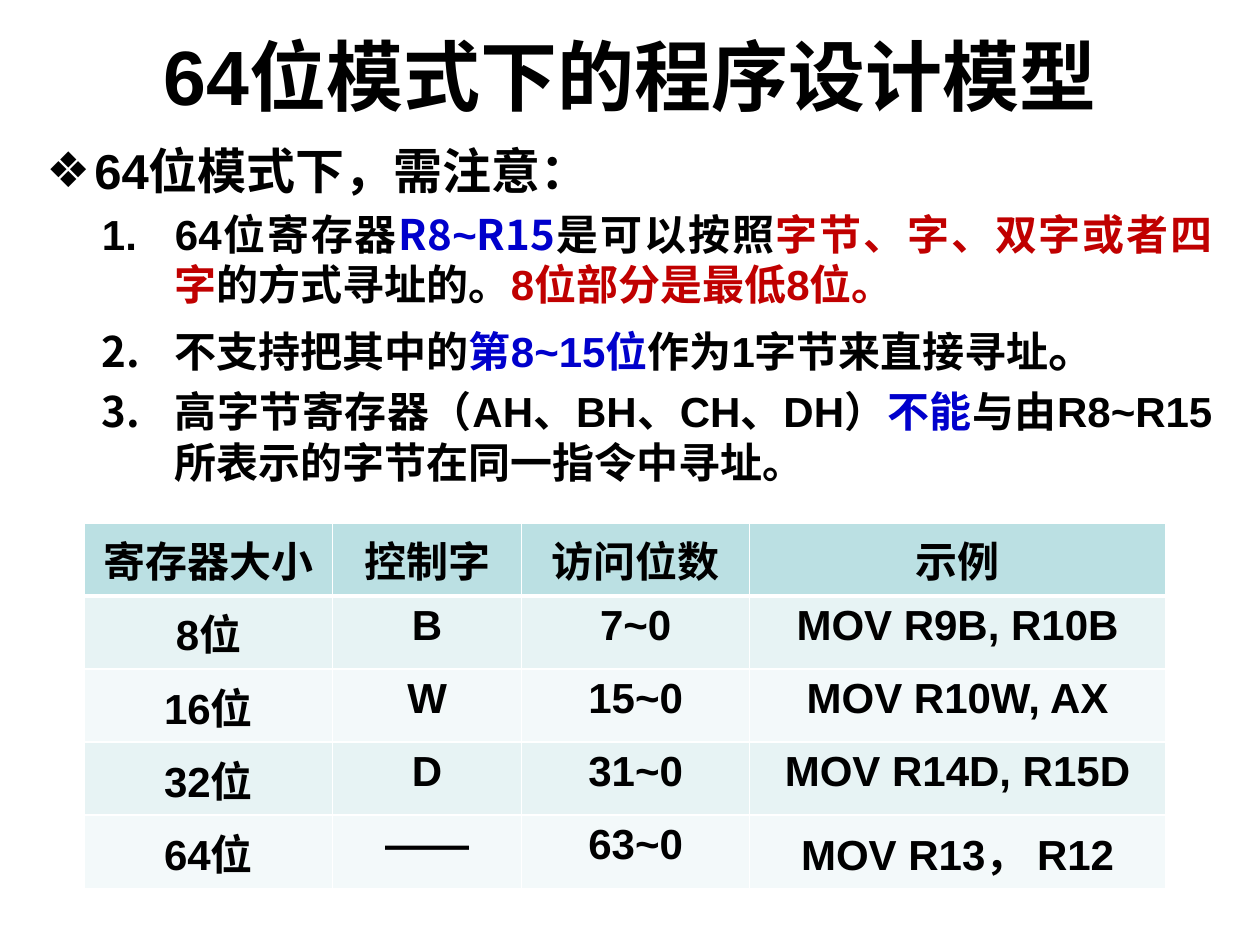
import pptx
import pptx.util
import pptx.dml.color
import pptx.enum.text
import pptx.oxml
import pptx.oxml.ns

Inches = pptx.util.Inches
Pt = pptx.util.Pt
Color = pptx.dml.color.RGBColor
Align = pptx.enum.text.PP_ALIGN
Anchor = pptx.enum.text.MSO_ANCHOR

BLACK = Color(0x00, 0x00, 0x00)
BLUE = Color(0x00, 0x00, 0xCC)
RED = Color(0xC0, 0x00, 0x00)
HEAD = Color(0xBB, 0xE0, 0xE3)
BANDS = (Color(0xE7, 0xF3, 0xF4), Color(0xF3, 0xF9, 0xFA))
LATIN = "Arial"
HAN = "Noto Sans CJK SC"

RULES = [
    [("64位寄存器", BLACK), ("R8", BLUE, HAN), ("~", BLUE), ("R15", BLUE, HAN),
     ("是可以按照", BLACK), ("字节、字、双字或者四字", RED),
     ("的方式寻址的。", BLACK), ("8位部分是最低8位。", RED)],
    [("不支持把其中的", BLACK), ("第8~15位", BLUE), ("作为1字节来直接寻址", BLACK),
     ("。", BLACK, LATIN, 28)],
    [("高字节寄存器（AH、BH、CH、DH）", BLACK), ("不能", BLUE),
     ("与由R8~R15所表示的字节在同一指令中寻址。", BLACK)],
]
ROWS = [
    ("寄存器大小", "控制字", "访问位数", "示例"),
    ("8位", "B", "7~0", "MOV R9B, R10B"),
    ("16位", "W", "15~0", "MOV R10W, AX"),
    ("32位", "D", "31~0", "MOV R14D, R15D"),
    ("64位", "——", "63~0", "MOV R13， R12"),
]
WIDTHS = (1.97, 1.5, 1.81, 3.3)
HEIGHT = 0.58


def add_xml(parent, tag, **attrs):
    node = pptx.oxml.parse_xml(f"<a:{tag} {pptx.oxml.ns.nsdecls('a')}/>")
    for key, value in attrs.items():
        node.set(key, str(value))
    parent.append(node)
    return node


def set_font(font, color=BLACK, name=LATIN, size=24):
    font.size = Pt(size)
    font.bold = True
    font.name = name
    font.color.rgb = color


def add_box(slide, left, top, width, height):
    box = slide.shapes.add_textbox(
        Inches(left), Inches(top), Inches(width), Inches(height))
    box.text_frame.word_wrap = True
    return box.text_frame


def add_title(slide, text):
    frame = add_box(slide, 0.2, 0.21, 9.61, 0.77)
    frame.vertical_anchor = Anchor.MIDDLE
    para = frame.paragraphs[0]
    para.text = text
    para.alignment = Align.CENTER
    set_font(para.font, size=44)


def set_list(para, left, hang, face, tag, **mark):
    para.alignment = Align.JUSTIFY
    props = para._p.get_or_add_pPr()
    props.set("marL", str(Inches(left)))
    props.set("indent", str(-Inches(hang)))
    add_xml(props, "buFont", typeface=face)
    add_xml(props, tag, **mark)


def add_rules(slide):
    frame = add_box(slide, 0.27, 1.07, 9.45, 2.83)
    lead = frame.paragraphs[0]
    lead.text = "64位模式下，需注意："
    set_list(lead, 0.38, 0.38, LATIN, "buChar", char="❖")
    set_font(lead.font, size=28)
    for index, parts in enumerate(RULES):
        para = frame.add_paragraph()
        para.level = 1
        para.space_before = Pt(5)
        face = HAN if index else LATIN
        set_list(para, 1.02, 0.58, face, "buAutoNum", type="arabicPeriod")
        for text, *style in parts:
            run = para.add_run()
            run.text = text
            set_font(run.font, *style)


def set_edges(cell, top, bottom):
    props = cell._tc.get_or_add_tcPr()
    for tag, width in (("lnL", 1), ("lnR", 1), ("lnT", top), ("lnB", bottom)):
        line = add_xml(props, tag, w=Pt(width))
        add_xml(add_xml(line, "solidFill"), "srgbClr", val="FFFFFF")


def add_grid(slide):
    grid = slide.shapes.add_table(
        len(ROWS), len(WIDTHS), Inches(0.67), Inches(4.15),
        Inches(sum(WIDTHS)), Inches(HEIGHT * len(ROWS))).table
    for column, width in zip(grid.columns, WIDTHS):
        column.width = Inches(width)
    for r, texts in enumerate(ROWS):
        for c, text in enumerate(texts):
            cell = grid.cell(r, c)
            set_edges(cell, 3 if r == 1 else 1, 3 if r == 0 else 1)
            cell.fill.solid()
            cell.fill.fore_color.rgb = BANDS[(r - 1) % 2] if r else HEAD
            para = cell.text_frame.paragraphs[0]
            para.text = text
            para.alignment = Align.CENTER
            set_font(para.font)


def main():
    deck = pptx.Presentation()
    deck.slide_width = Inches(10)
    deck.slide_height = Inches(7.5)
    slide = deck.slides.add_slide(deck.slide_layouts[6])
    add_title(slide, "64位模式下的程序设计模型")
    add_rules(slide)
    add_grid(slide)
    deck.save("out.pptx")


if __name__ == "__main__":
    main()
